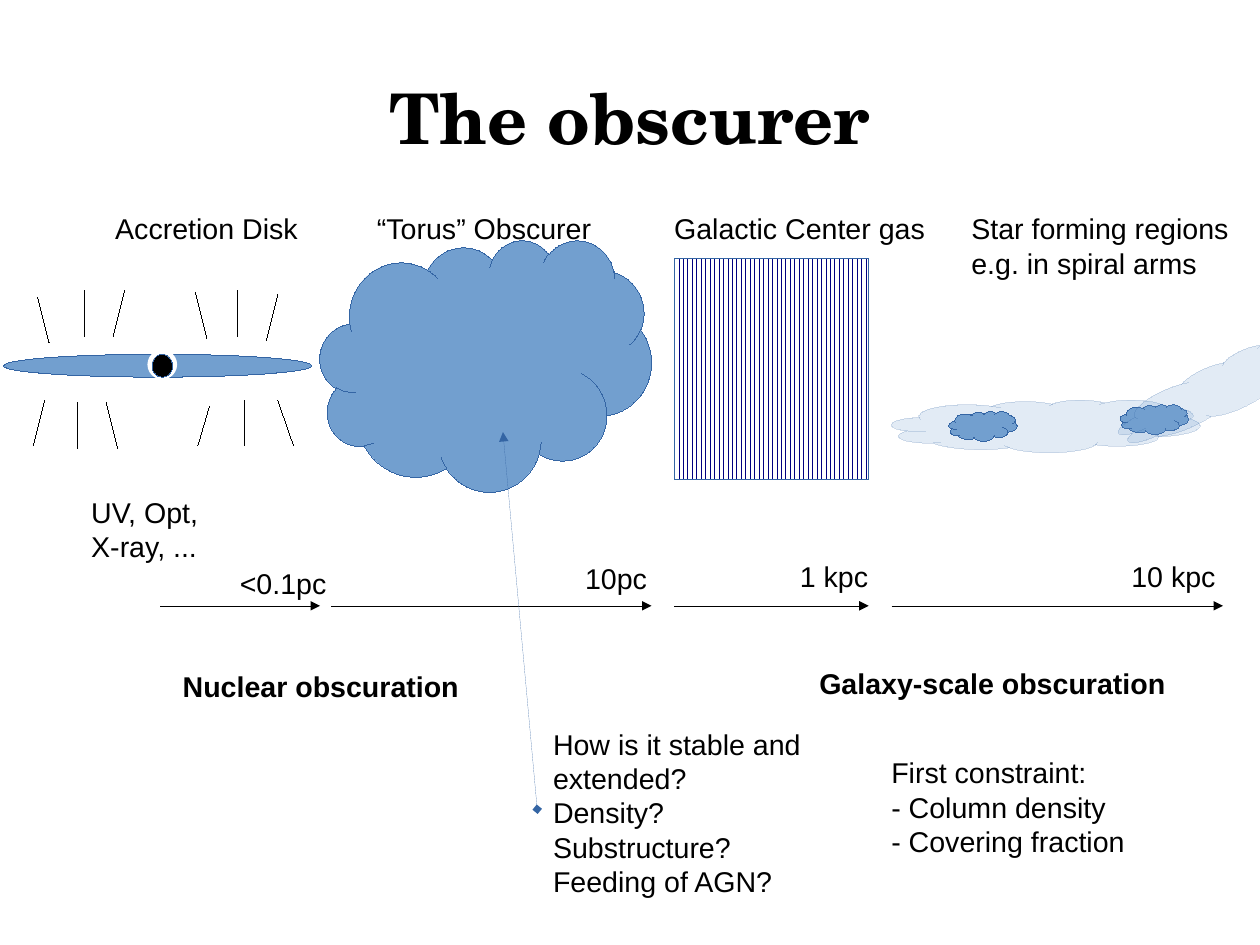
import pptx
import pptx.util
import pptx.dml.color
import pptx.enum.dml
import pptx.enum.shapes
import pptx.enum.text
import pptx.oxml.ns
import lxml.etree

Inches = pptx.util.Inches
Pt = pptx.util.Pt
SHAPE = pptx.enum.shapes.MSO_SHAPE
BLUE, EDGE, BLACK, WHITE = "729FCF", "3465A4", "000000", "FFFFFF"


def color(value):
    return pptx.dml.color.RGBColor.from_string(value)


def element(parent, tag, **attributes):
    return lxml.etree.SubElement(parent, pptx.oxml.ns.qn(tag), attributes)


deck = pptx.Presentation()
deck.slide_width = Inches(28 / 2.54)
deck.slide_height = Inches(21 / 2.54)
page = deck.slides.add_slide(deck.slide_layouts[5])

title = page.shapes.title
title_format = {"left": 0.55, "top": 0.33, "width": 9.92, "height": 1.38}
for name, value in title_format.items():
    setattr(title, name, Inches(value))
frame = title.text_frame
frame_format = {
    "margin_left": 0, "margin_top": 0, "margin_right": 0, "margin_bottom": 0,
    "vertical_anchor": pptx.enum.text.MSO_ANCHOR.MIDDLE,
    "auto_size": pptx.enum.text.MSO_AUTO_SIZE.NONE,
}
for name, value in frame_format.items():
    setattr(frame, name, value)
para = frame.paragraphs[0]
para.alignment = pptx.enum.text.PP_ALIGN.CENTER
span = para.add_run()
span.text = "The obscurer"
for name, value in {"name": "TeX Gyre Schola", "size": Pt(44), "bold": True}.items():
    setattr(span.font, name, value)
span.font.color.rgb = color(BLACK)

disk = page.shapes.add_group_shape()

shapes = [
    (disk, SHAPE.OVAL, 0.03, 3.1, 2.7, 0.2, BLUE, EDGE, 0, 100),
    (disk, SHAPE.OVAL, 1.29, 3.06, 0.26, 0.26, WHITE, None, 0, 100),
    (disk, SHAPE.OVAL, 1.33, 3.1, 0.18, 0.2, BLACK, EDGE, 0, 100),
    (page, SHAPE.CLOUD, 2.8, 2.1, 2.9, 2.2, BLUE, EDGE, 0, 100),
    (page, SHAPE.RECTANGLE, 5.9, 2.26, 1.7, 1.94, None, EDGE, 0, 100),
    (page, SHAPE.CLOUD, 7.8, 3.5, 2.7, 0.46, BLUE, EDGE, 0, 20),
    (page, SHAPE.CLOUD, 8.3, 3.6, 0.6, 0.26, BLUE, EDGE, 0, 100),
    (page, SHAPE.CLOUD, 9.8, 3.54, 0.6, 0.26, BLUE, EDGE, 0, 100),
    (page, SHAPE.CLOUD, 9.7, 3.14, 2.09, 0.46, BLUE, EDGE, 335.9, 20),
]
for owner, kind, left, top, width, height, fill, edge, turn, opacity in shapes:
    shape = owner.shapes.add_shape(
        kind, Inches(left), Inches(top), Inches(width), Inches(height))
    shape.shadow.inherit = False
    shape.rotation = turn
    if fill:
        shape.fill.solid()
        shape.fill.fore_color.rgb = color(fill)
    else:
        shape.fill.patterned()
        shape.fill.pattern = pptx.enum.dml.MSO_PATTERN.VERTICAL
        shape.fill.fore_color.rgb = color("000080")
        shape.fill.back_color.rgb = color(WHITE)
    if edge:
        shape.line.color.rgb = color(edge)
        shape.line._get_or_add_ln().set("w", "0")
    else:
        shape.line.fill.background()
    if opacity < 100:
        for tint in shape._element.spPr.iter(pptx.oxml.ns.qn("a:srgbClr")):
            element(tint, "a:alpha", val=str(opacity * 1000))

rays = [
    (0.33, 2.6, 0.43, 3), (0.74, 2.54, 0.74, 2.94), (1.09, 2.54, 0.99, 2.94),
    (1.71, 2.56, 1.81, 2.96), (2.08, 2.54, 2.08, 2.94), (2.43, 2.58, 2.33, 2.98),
    (0.93, 3.52, 1.03, 3.92), (0.68, 3.52, 0.68, 3.92), (0.39, 3.5, 0.29, 3.9),
    (1.83, 3.56, 1.73, 3.9), (2.14, 3.5, 2.14, 3.9), (2.43, 3.5, 2.57, 3.9),
]
scales = [(1.4, 2.8), (2.9, 5.7), (5.9, 7.6), (7.8, 10.7)]
lines = [(disk, ray, BLACK, {}) for ray in rays]
lines += [(page, (start, 5.3, end, 5.3), BLACK, {"a:tailEnd": "triangle"})
          for start, end in scales]
lines.append((page, (4.4, 3.78, 4.7, 7.08), EDGE,
              {"a:headEnd": "triangle", "a:tailEnd": "diamond"}))
for owner, ends, tint, tips in lines:
    line = owner.shapes.add_connector(
        pptx.enum.shapes.MSO_CONNECTOR.STRAIGHT, *[Inches(value) for value in ends])
    line.line.color.rgb = color(tint)
    stroke = line.line._get_or_add_ln()
    stroke.set("w", "0")
    for tag, tip in tips.items():
        element(stroke, tag, type=tip)
    element(line._element.spPr, "a:effectLst")

labels = [
    (0.7, 4.28, 1.2, 0.66, False, ["UV, Opt, X-ray, ..."]),
    (0.91, 1.8, 2.2, 0.86, False, ["Accretion Disk"]),
    (3.2, 1.8, 2.2, 0.86, False, ["“Torus” Obscurer"]),
    (5.8, 1.8, 2.5, 0.66, False, ["Galactic Center gas"]),
    (8.4, 1.8, 2.5, 0.66, False, ["Star forming regions", "e.g. in spiral arms"]),
    (2, 4.9, 1, 0.66, False, ["<0.1pc"]),
    (5.02, 4.86, 0.8, 0.66, False, ["10pc"]),
    (6.9, 4.84, 1.1, 0.66, False, ["1 kpc"]),
    (9.8, 4.84, 1.1, 0.66, False, ["10 kpc"]),
    (1.5, 5.8, 3.8, 0.38, True, ["Nuclear obscuration"]),
    (7.07, 5.78, 3.8, 0.38, True, ["Galaxy-scale obscuration"]),
    (4.74, 6.31, 2.4, 1.78, False,
     ["How is it stable and extended?", "Density? Substructure?\vFeeding of AGN?"]),
    (7.7, 6.56, 2.4, 0.94, False,
     ["First constraint:", "- Column density", "- Covering fraction"]),
]
for left, top, width, height, bold, texts in labels:
    box = page.shapes.add_textbox(
        Inches(left), Inches(top), Inches(width), Inches(height))
    box.text_frame.text = "\n".join(texts)
    box.text_frame.word_wrap = True
    box.text_frame.auto_size = pptx.enum.text.MSO_AUTO_SIZE.SHAPE_TO_FIT_TEXT
    for para in box.text_frame.paragraphs:
        for span in para.runs:
            for name, value in {"name": "Arial", "size": Pt(18), "bold": bold}.items():
                setattr(span.font, name, value)
            span.font.color.rgb = color(BLACK)

deck.save("out.pptx")
